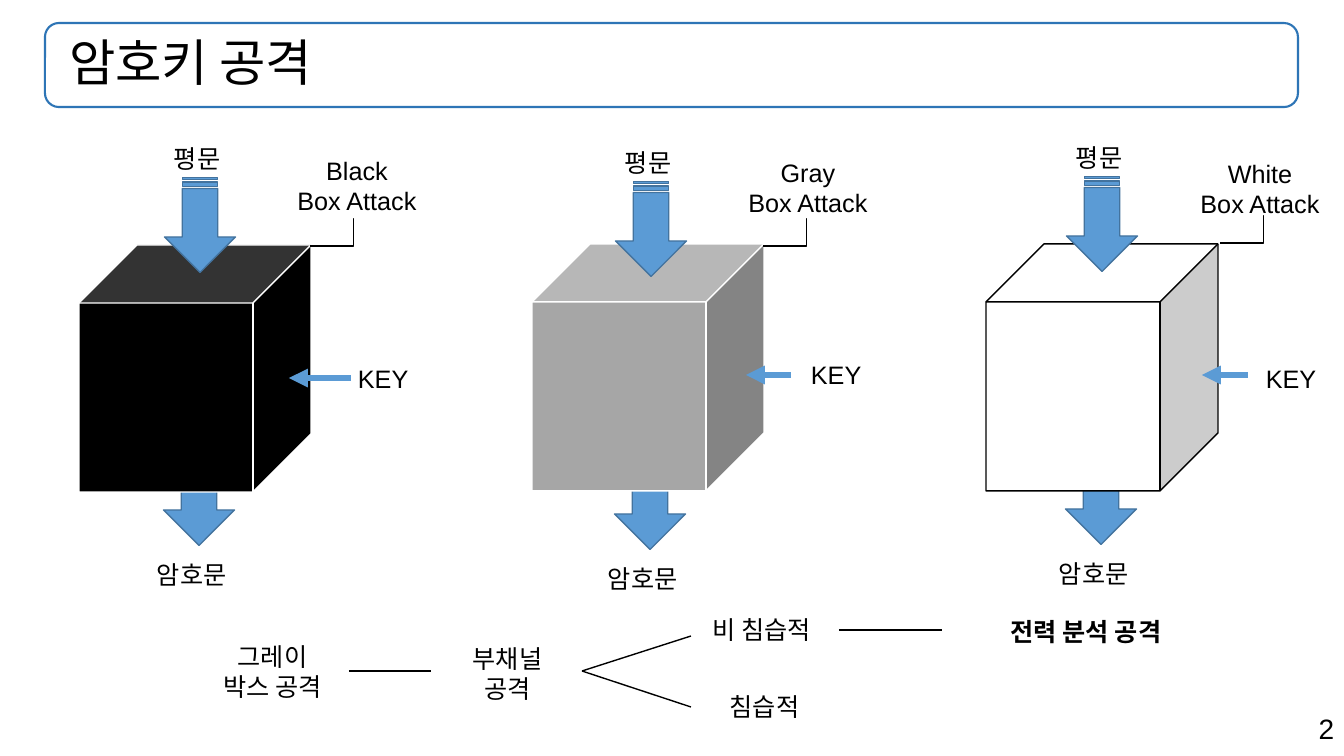
from dataclasses import dataclass

from lxml.etree import SubElement
from pptx import Presentation
from pptx.dml.color import RGBColor
from pptx.enum.shapes import MSO_CONNECTOR, MSO_SHAPE
from pptx.enum.text import MSO_ANCHOR, MSO_AUTO_SIZE, PP_ALIGN
from pptx.oxml.ns import qn
from pptx.util import Pt

EMU_PER_PX = 914400 / 100.8
COLORS = {
    "text": "000000", "frame": "2E75B6", "arrow": "5B9BD5", "arrow_edge": "43739E",
    "black": "000000", "gray": "A6A6A6", "white": "FFFFFF",
}


@dataclass
class Attack:
    name: str
    cube: tuple
    fill: str
    edge: str
    flow: tuple
    key_arrow: tuple
    key: tuple
    label: tuple
    leader: tuple


ATTACKS = [
    Attack("Black", (79, 245), "black", "white", (121, -20), (272, 210, 133),
           (269, 113, 103), (162, -95, 232), (231, 1)),
    Attack("Gray", (532, 244), "gray", "white", (119, -15), (259, 214, 131),
           (269, 110, 103), (160, -92, 232), (231, 2)),
    Attack("White", (986, 244), "white", "black", (116, -20), (262, 216, 131),
           (270, 114, 74), (195, -91, 158), (234, -1)),
]


def px(length):
    return round(length * EMU_PER_PX)


def color(name):
    return RGBColor.from_string(COLORS[name])


def style_paragraph(paragraph, size, align, bold=None):
    paragraph.alignment = align
    font = paragraph.font
    font.name = "Arial"
    font.size = Pt(size)
    font.bold = bold
    font.color.rgb = color("text")


def add_label(slide, lines, x, y, width, height=40, align=PP_ALIGN.LEFT, size=18, bold=None):
    frame = slide.shapes.add_textbox(px(x), px(y), px(width), px(height)).text_frame
    frame.word_wrap = True
    frame.auto_size = MSO_AUTO_SIZE.SHAPE_TO_FIT_TEXT
    frame.text = "\n".join(lines)
    for paragraph in frame.paragraphs:
        style_paragraph(paragraph, size, align, bold)


def add_outlined(slide, preset, x, y, width, height, fill, edge, weight=1):
    shape = slide.shapes.add_shape(preset, px(x), px(y), px(width), px(height))
    shape.shadow.inherit = False
    if fill:
        shape.fill.solid()
        shape.fill.fore_color.rgb = color(fill)
    else:
        shape.fill.background()
    shape.line.color.rgb = color(edge)
    shape.line.width = Pt(weight)
    return shape


def add_line(slide, start, end, kind=MSO_CONNECTOR.STRAIGHT, line_color="text", weight=1):
    connector = slide.shapes.add_connector(kind, *map(px, start + end))
    connector.line.color.rgb = color(line_color)
    connector.line.width = Pt(weight)
    SubElement(connector._element.spPr, qn("a:effectLst"))
    return connector


def add_flow_arrow(slide, center_x, center_y):
    width, height = 95, 71
    arrow = add_outlined(slide, MSO_SHAPE.STRIPED_RIGHT_ARROW, center_x - width / 2,
                         center_y - height / 2, width, height, "arrow", "arrow_edge")
    arrow.rotation = 90


def add_header(slide, x, y, width, height):
    add_outlined(slide, MSO_SHAPE.ROUNDED_RECTANGLE, x, y, width, height, None, "frame", 1.5)
    title = slide.shapes.title
    title.left, title.top, title.width, title.height = map(px, (x, y, width, height))
    frame = title.text_frame
    frame.text = "암호키 공격"
    frame.margin_left = px(24)
    frame.vertical_anchor = MSO_ANCHOR.MIDDLE
    frame.paragraphs[0].line_spacing = 0.9
    style_paragraph(frame.paragraphs[0], 36, PP_ALIGN.LEFT)


def add_attack(slide, attack):
    x, y = attack.cube
    flow_x, flow_y = x + attack.flow[0], y + attack.flow[1]
    add_flow_arrow(slide, flow_x - 1, flow_y + 273)
    add_outlined(slide, MSO_SHAPE.CUBE, x, y, 232, 247, attack.fill, attack.edge)
    add_flow_arrow(slide, flow_x, flow_y)
    add_label(slide, ["평문"], flow_x - 36, flow_y - 87, 81)
    add_label(slide, ["암호문"], flow_x - 53, flow_y + 329, 112)

    tail_x, head_x, arrow_y = attack.key_arrow
    key_arrow = add_line(slide, (x + tail_x, y + arrow_y), (x + head_x, y + arrow_y),
                         line_color="arrow", weight=4.5)
    SubElement(key_arrow.line._get_or_add_ln(), qn("a:tailEnd"), type="triangle")
    key_x, key_y, key_width = attack.key
    add_label(slide, ["KEY"], x + key_x, y + key_y, key_width)

    label_x, label_y, label_width = attack.label
    add_label(slide, [attack.name, "Box Attack"], x + label_x, y + label_y,
              label_width, 72, PP_ALIGN.CENTER)
    leader_x, leader_y = x + attack.leader[0], y + attack.leader[1]
    leader = add_line(slide, (leader_x, leader_y), (leader_x + 43, leader_y - 27),
                      MSO_CONNECTOR.ELBOW)
    guides = leader._element.spPr.find(qn("a:prstGeom")).get_or_add_avLst()
    SubElement(guides, qn("a:gd"), name="adj1", fmla="val 100800")


def add_taxonomy(slide, x, y):
    nodes = [
        (["그레이", "박스 공격"], 0, 27, 153, 72, None),
        (["부채널", "공격"], 235, 29, 153, 72, None),
        (["비 침습적"], 489, 0, 153, 40, None),
        (["침습적"], 492, 77, 153, 40, None),
        (["전력 분석 공격"], 774, 2, 232, 40, True),
    ]
    for lines, left, top, width, height, bold in nodes:
        add_label(slide, lines, x + left, y + top, width, height, PP_ALIGN.CENTER, bold=bold)
    branches = [(153, 62, 235, 62), (386, 62, 495, 27), (386, 62, 495, 98), (643, 21, 746, 21)]
    for start_x, start_y, end_x, end_y in branches:
        add_line(slide, (x + start_x, y + start_y), (x + end_x, y + end_y))


def main():
    deck = Presentation()
    deck.slide_width, deck.slide_height = px(1344), px(756)
    slide = deck.slides.add_slide(deck.slide_layouts[5])
    add_header(slide, 45, 23, 1253, 84)
    for attack in ATTACKS:
        add_attack(slide, attack)
    add_taxonomy(slide, 196, 609)
    add_label(slide, ["2"], 951, 707, 393, 44, PP_ALIGN.RIGHT, 20)
    deck.save("out.pptx")


if __name__ == "__main__":
    main()
